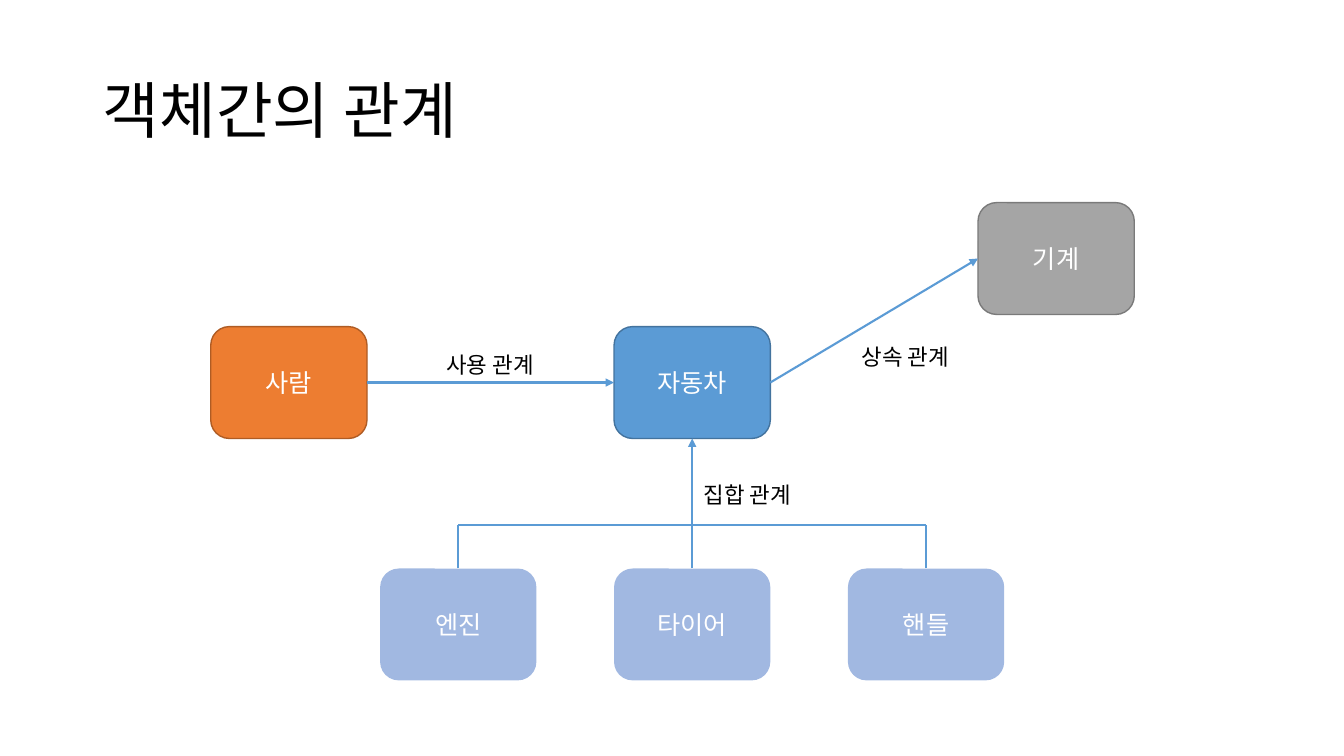
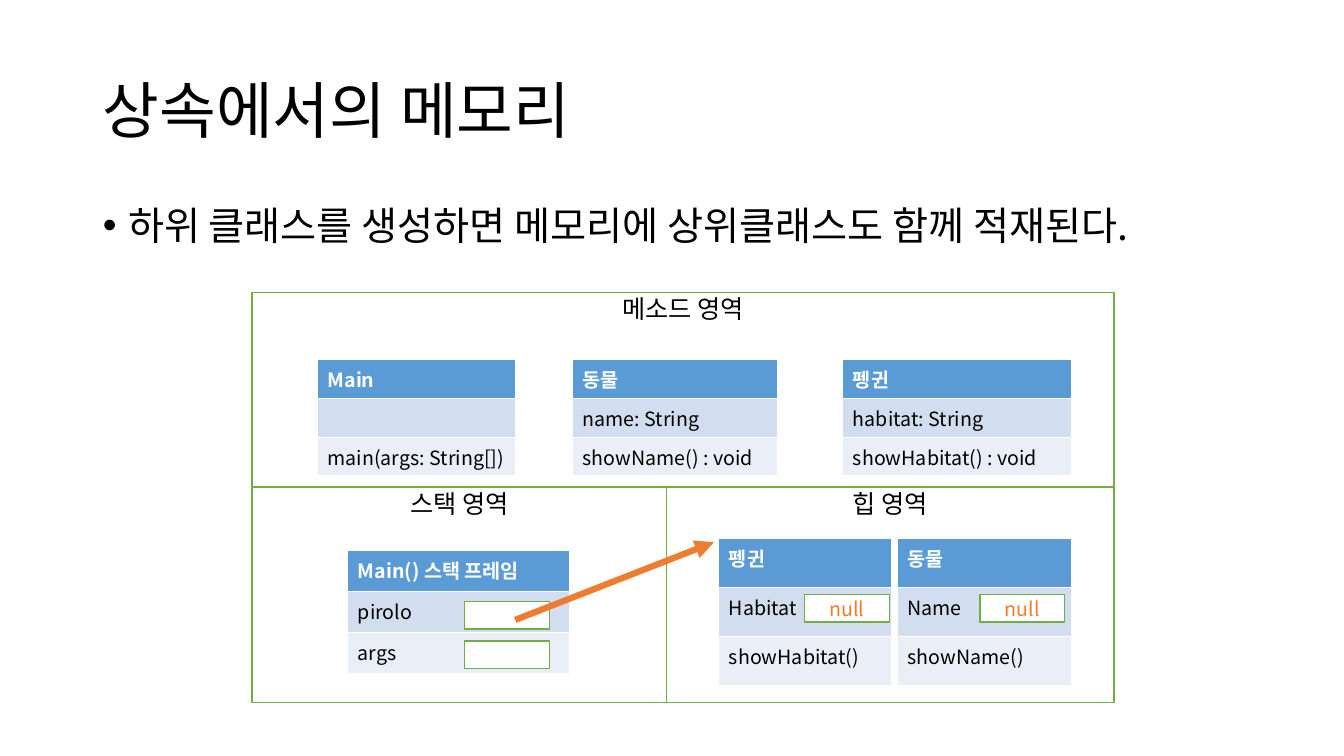
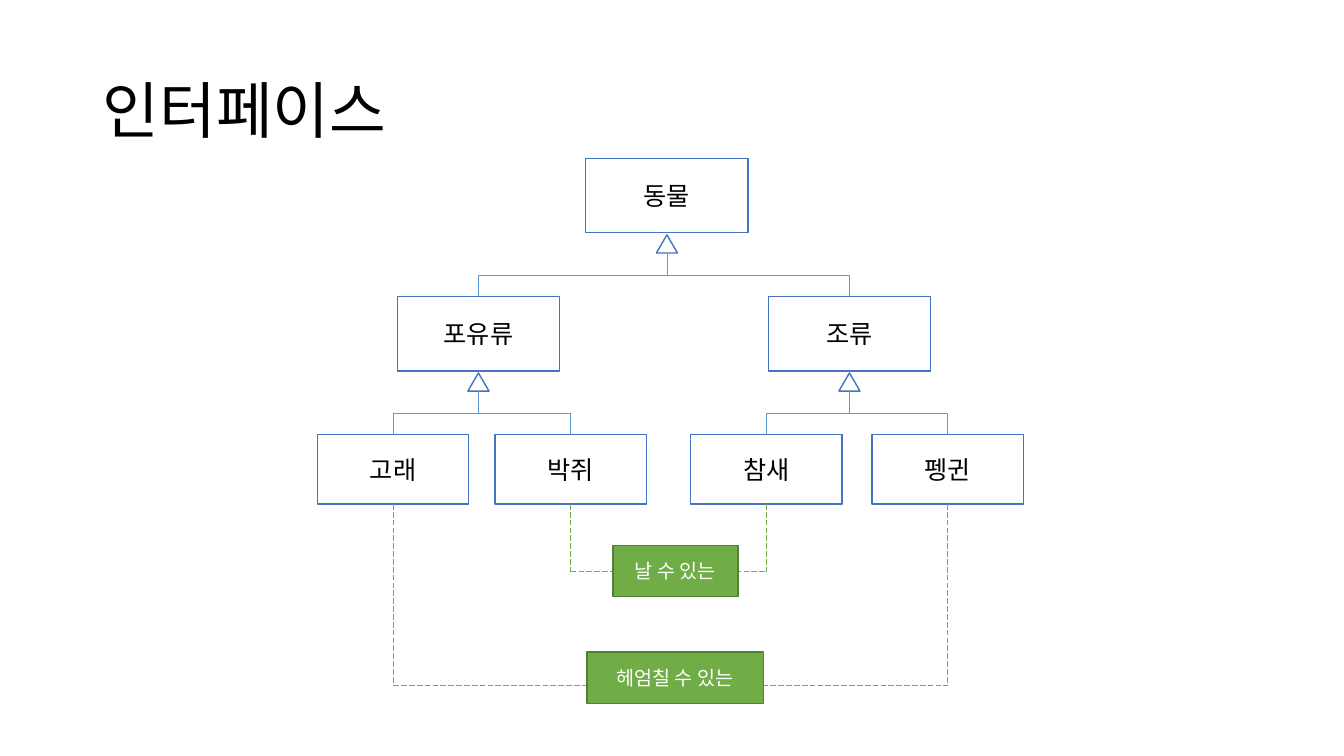
from dataclasses import dataclass

from lxml.etree import SubElement
from pptx import Presentation
from pptx.dml.color import RGBColor
from pptx.enum.dml import MSO_LINE
from pptx.enum.shapes import MSO_CONNECTOR, MSO_SHAPE
from pptx.enum.text import MSO_ANCHOR, MSO_AUTO_SIZE, PP_ALIGN
from pptx.oxml.ns import qn
from pptx.util import Inches, Pt

# Shared look
FONT = "Noto Sans CJK KR"
BLACK, WHITE = "000000", "FFFFFF"
BLUE, NAVY, ORANGE, GREY, GREEN = "5B9BD5", "4472C4", "ED7D31", "A5A5A5", "70AD47"
BLUE_EDGE, ORANGE_EDGE, GREY_EDGE, GREEN_EDGE = "43739E", "AF5C24", "7A7A7A", "538035"
BAND_DARK, BAND_LIGHT = "D2DEEF", "EAEFF7"
TITLE_ONLY, TITLE_BODY = 5, 1
TOP, LEFT, BOTTOM, RIGHT = range(4)  # connection sites


@dataclass
class Box:
    """Area on a grid of one-inch columns and rows."""
    x: float
    y: float
    w: float
    h: float

    def inner(self, x, y, w, h):
        return Box(self.x + x, self.y + y, w, h)

    def point(self, x, y):
        return self.x + x, self.y + y

    @property
    def mid(self):
        return self.x + self.w / 2

    @property
    def bottom(self):
        return self.y + self.h

    @property
    def emu(self):
        return [Inches(v) for v in (self.x, self.y, self.w, self.h)]


TITLE_BOX = Box(0.92, 0.4, 11.5, 1.45)
BODY_BOX = Box(0.92, 2, 11.5, 4.76)


def rgb(code):
    return RGBColor.from_string(code)


def style(paragraph, size, color, align=PP_ALIGN.LEFT, bold=False):
    paragraph.alignment = align
    font = paragraph.font
    font.size, font.bold, font.name = Pt(size), bold, FONT
    font.color.rgb = rgb(color)
    defaults = paragraph._p.get_or_add_pPr().find(qn("a:defRPr"))
    SubElement(defaults, qn("a:ea"), typeface=FONT)


def fill_placeholder(holder, box, text, size, anchor):
    holder.left, holder.top, holder.width, holder.height = box.emu
    frame = holder.text_frame
    frame.text = text
    frame.auto_size = MSO_AUTO_SIZE.NONE
    frame.vertical_anchor = anchor
    paragraph = frame.paragraphs[0]
    paragraph.line_spacing = 0.9
    style(paragraph, size, BLACK)
    return paragraph


def new_slide(deck, layout, title):
    slide = deck.slides.add_slide(deck.slide_layouts[layout])
    fill_placeholder(slide.shapes.title, TITLE_BOX, title, 44, MSO_ANCHOR.MIDDLE)
    return slide


def node(slide, box, text="", fill=WHITE, edge=None, color=BLACK, size=18,
         kind=MSO_SHAPE.RECTANGLE, alpha=None):
    shape = slide.shapes.add_shape(kind, *box.emu)
    shape.shadow.inherit = False
    shape.fill.solid()
    shape.fill.fore_color.rgb = rgb(fill)
    if alpha:
        tint = shape._element.spPr.xpath(".//a:srgbClr")[0]
        SubElement(tint, qn("a:alpha"), val=str(alpha * 1000))
    if edge:
        shape.line.color.rgb = rgb(edge)
        shape.line.width = Pt(1)
    else:
        shape.line.fill.background()
    if text:
        frame = shape.text_frame
        frame.text = text
        frame.vertical_anchor = MSO_ANCHOR.MIDDLE
        style(frame.paragraphs[0], size, color, PP_ALIGN.CENTER)
    return shape


def line(slide, start, end, color=BLUE, width=0.5, arrow=False, dash=None):
    ends = [Inches(v) for v in (*start, *end)]
    stroke = slide.shapes.add_connector(MSO_CONNECTOR.STRAIGHT, *ends)
    stroke.line.color.rgb = rgb(color)
    stroke.line.width = Pt(width)
    if dash:
        stroke.line.dash_style = dash
    if arrow:
        SubElement(stroke.get_or_add_ln(), qn("a:tailEnd"), type="triangle")
    SubElement(stroke._element.spPr, qn("a:effectLst"))
    return stroke


def join(slide, source, source_site, target, target_site):
    arrow = line(slide, (0, 0), (1, 1), width=1.5, arrow=True)
    arrow.begin_connect(source, source_site)
    arrow.end_connect(target, target_site)


def label(slide, box, text):
    frame = slide.shapes.add_textbox(*box.emu).text_frame
    frame.text = text
    frame.word_wrap = False
    frame.auto_size = MSO_AUTO_SIZE.SHAPE_TO_FIT_TEXT
    style(frame.paragraphs[0], 16, BLACK)


# Slide 1: objects and their relations
def relations(slide, area):
    def thing(x, y, text, fill, edge=None, alpha=None):
        box = area.inner(x, y, 1.55, 1.11)
        return box, node(slide, box, text, fill, edge, WHITE,
                         kind=MSO_SHAPE.ROUNDED_RECTANGLE, alpha=alpha)

    _, person = thing(0, 1.23, "사람", ORANGE, ORANGE_EDGE)
    _, car = thing(4, 1.23, "자동차", BLUE, BLUE_EDGE)
    _, machine = thing(7.61, 0, "기계", GREY, GREY_EDGE)
    pieces = [thing(1.68 + 2.32 * i, 3.63, text, NAVY, alpha=50)
              for i, text in enumerate(("엔진", "타이어", "핸들"))]
    (engine, _), (_, tire), (handle, _) = pieces

    # Arrows, and the bracket that gathers the car's pieces
    join(slide, person, RIGHT, car, LEFT)
    join(slide, tire, TOP, car, BOTTOM)
    join(slide, car, RIGHT, machine, LEFT)
    bar = engine.y - 0.43
    for piece in (engine, handle):
        line(slide, (piece.mid, piece.y), (piece.mid, bar), width=1.5)
    line(slide, (engine.mid, bar), (handle.mid, bar), width=1.5)

    for x, y, text in ((2.24, 1.42, "사용 관계"), (4.79, 2.71, "집합 관계"),
                       (6.36, 1.35, "상속 관계")):
        label(slide, area.inner(x, y, 1.18, 0.37), text)


# Slide 2: memory areas
def region(slide, area, heading):
    frame = node(slide, area, heading, edge=GREEN).text_frame
    frame.vertical_anchor = MSO_ANCHOR.TOP
    frame.margin_top = Inches(0.01)


def class_table(slide, box, rows):
    table = slide.shapes.add_table(len(rows), 1, *box.emu).table
    for i, (text, fill) in enumerate(zip(rows, (BLUE, BAND_DARK, BAND_LIGHT))):
        cell = table.cell(i, 0)
        cell.text = text
        cell.fill.solid()
        cell.fill.fore_color.rgb = rgb(fill)
        style(cell.text_frame.paragraphs[0], 14, BLACK if i else WHITE, bold=i == 0)


def value(slide, area, x, y, text=""):
    node(slide, area.inner(x, y, 0.84, 0.27), text, edge=GREEN, color=ORANGE, size=14)


def method_area(slide, area):
    region(slide, area, "메소드 영역")
    for x, width, rows in (
            (0.65, 1.96, ("Main", "", "main(args: String[])")),
            (3.18, 2.03, ("동물", "name: String", "showName() : void")),
            (5.86, 2.27, ("펭귄", "habitat: String", "showHabitat() : void"))):
        class_table(slide, area.inner(x, 0.67, width, 1.06), rows)


def stack_area(slide, area):
    region(slide, area, "스택 영역")
    class_table(slide, area.inner(0.95, 0.63, 2.2, 1.22),
                ("Main() 스택 프레임", "pirolo", "args"))
    for y in (1.14, 1.53):
        value(slide, area, 2.11, y)


def heap_area(slide, area):
    region(slide, area, "힙 영역")
    for x, width, value_x, rows in (
            (0.52, 1.71, 1.37, ("펭귄", "Habitat", "showHabitat()")),
            (2.29, 1.73, 3.11, ("동물", "Name", "showName()"))):
        class_table(slide, area.inner(x, 0.51, width, 1.46), rows)
        value(slide, area, value_x, 1.07, "null")


def memory(slide, area):
    stack_width, upper = 4.11, 1.93
    lower = area.h - upper
    method_area(slide, area.inner(0, 0, area.w, upper))
    stack_area(slide, area.inner(0, upper, stack_width, lower))
    heap_area(slide, area.inner(stack_width, upper, area.w - stack_width, lower))
    # Reference from the stack to the heap
    line(slide, area.point(2.61, 3.25), area.point(4.58, 2.48), ORANGE, 4.5, arrow=True)


# Slide 3: class tree with interfaces
def branch(slide, parent, children):
    head = Box(parent.mid - 0.105, parent.bottom + 0.02, 0.21, 0.18)
    node(slide, head, edge=NAVY, kind=MSO_SHAPE.ISOSCELES_TRIANGLE)
    bar = children[0].y - 0.21
    line(slide, (parent.mid, head.bottom), (parent.mid, bar))
    line(slide, (children[0].mid, bar), (children[-1].mid, bar))
    for child in children:
        line(slide, (child.mid, child.y), (child.mid, bar))


def interface(slide, box, text, users, level):
    corners = [(user.mid, level) for user in users]
    spans = [((user.mid, user.bottom), corner) for user, corner in zip(users, corners)]
    for start, end in [*spans, corners]:
        line(slide, start, end, GREEN, dash=MSO_LINE.LONG_DASH)
    node(slide, box, text, GREEN, GREEN_EDGE, WHITE, 14)


def class_tree(slide, area):
    def level(y, w, h, entries):
        boxes = [area.inner(x, y, w, h) for x, _ in entries]
        for box, (_, text) in zip(boxes, entries):
            node(slide, box, text, edge=NAVY)
        return boxes

    [animal] = level(0, 1.61, 0.74, [(2.66, "동물")])
    groups = level(1.37, 1.61, 0.74, [(0.79, "포유류"), (4.47, "조류")])
    species = level(2.74, 1.5, 0.69, [(0, "고래"), (1.76, "박쥐"),
                                      (3.7, "참새"), (5.5, "펭귄")])
    whale, bat, sparrow, penguin = species

    branch(slide, animal, groups)
    branch(slide, groups[0], species[:2])
    branch(slide, groups[1], species[2:])

    interface(slide, area.inner(2.93, 3.84, 1.24, 0.51), "날 수 있는",
              (bat, sparrow), area.y + 4.1)
    interface(slide, area.inner(2.67, 4.9, 1.75, 0.51), "헤엄칠 수 있는",
              (whale, penguin), area.y + 5.23)


deck = Presentation()
deck.slide_width, deck.slide_height = Inches(13.33), Inches(7.5)

relations(new_slide(deck, TITLE_ONLY, "객체간의 관계"), Box(2.09, 2.01, 9.16, 4.74))

inheritance = new_slide(deck, TITLE_BODY, "상속에서의 메모리")
point = fill_placeholder(inheritance.placeholders[1], BODY_BOX,
                         "하위 클래스를 생성하면 메모리에 상위클래스도 함께 적재된다.",
                         28, MSO_ANCHOR.TOP)
point.space_before = Pt(10)
indents = point._p.get_or_add_pPr()
indents.set("marL", str(Inches(0.25)))
indents.set("indent", str(Inches(-0.25)))
memory(inheritance, Box(2.5, 2.9, 8.55, 4.07))

class_tree(new_slide(deck, TITLE_ONLY, "인터페이스"), Box(3.15, 1.57, 7, 5.41))

deck.save("out.pptx")
